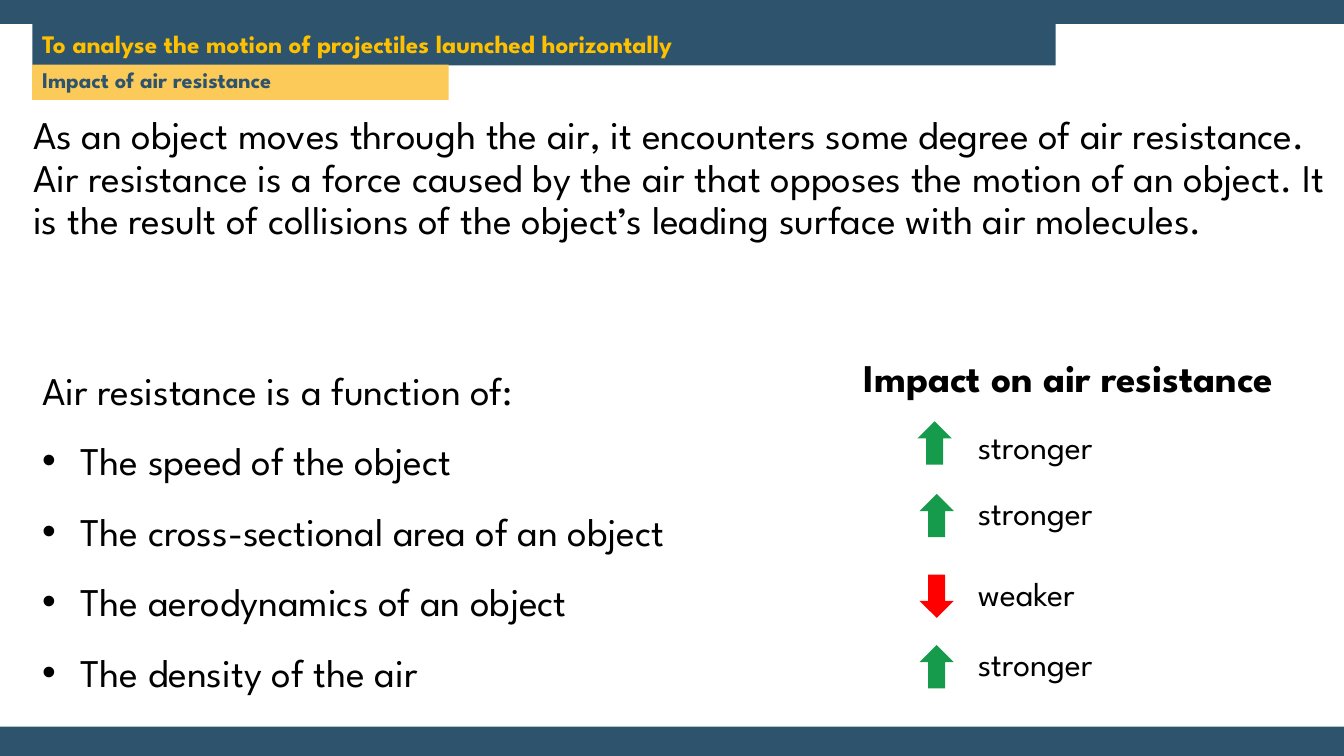
from dataclasses import dataclass

from lxml.etree import SubElement
from pptx import Presentation
from pptx.dml.color import RGBColor
from pptx.enum.shapes import MSO_SHAPE
from pptx.enum.text import MSO_ANCHOR, PP_ALIGN
from pptx.oxml.ns import qn
from pptx.shapes.autoshape import Shape
from pptx.slide import Slide
from pptx.util import Inches, Pt

FONT = "League Spartan"
COLOURS = {
    "navy": "2E546D",
    "white": "FFFFFF",
    "gold": "FFC000",
    "amber": "FBCA58",
    "black": "000000",
    "green": "159B4B",
    "red": "FF0000",
}
FACTORS = [
    "The speed of the object",
    "The cross-sectional area of an object",
    "The aerodynamics of an object",
    "The density of the air",
]


@dataclass
class Box:
    left: float
    top: float
    width: float
    height: float

    def lengths(self) -> list[int]:
        return [Inches(value) for value in (self.left, self.top, self.width, self.height)]


@dataclass
class Style:
    size: int
    colour: str = "black"
    bold: bool = False
    line_spacing: float = 1.0


@dataclass
class Impact:
    label: str
    arrow_left: float
    arrow_top: float
    label_top: float
    colour: str = "green"
    rotation: int = 0


IMPACTS = [
    Impact("stronger", 9.1, 4.18, 4.18),
    Impact("stronger", 9.12, 4.9, 4.83),
    Impact("weaker", 9.12, 5.7, 5.63, "red", 180),
    Impact("stronger", 9.12, 6.4, 6.33),
]


def rgb(name: str) -> RGBColor:
    return RGBColor.from_string(COLOURS[name])


def add_filled(slide: Slide, kind: MSO_SHAPE, box: Box, colour: str) -> Shape:
    shape = slide.shapes.add_shape(kind, *box.lengths())
    shape.shadow.inherit = False
    shape.fill.solid()
    shape.fill.fore_color.rgb = rgb(colour)
    shape.line.fill.background()
    return shape


def write(shape: Shape, text: str, style: Style, anchor: MSO_ANCHOR = MSO_ANCHOR.TOP) -> None:
    frame = shape.text_frame
    frame.text = text
    frame.word_wrap = True
    frame.vertical_anchor = anchor
    for paragraph in frame.paragraphs:
        paragraph.alignment = PP_ALIGN.LEFT
        paragraph.line_spacing = style.line_spacing
        for run in paragraph.runs:
            run.font.name = FONT
            run.font.size = Pt(style.size)
            run.font.bold = style.bold
            run.font.color.rgb = rgb(style.colour)


def add_text(slide: Slide, box: Box, text: str, style: Style) -> Shape:
    shape = slide.shapes.add_textbox(*box.lengths())
    write(shape, text, style)
    return shape


def add_bullets(shape: Shape) -> None:
    for paragraph in shape.text_frame.paragraphs[1:]:
        paragraph.line_spacing = 1.5
        properties = paragraph._p.get_or_add_pPr()
        properties.set("marL", str(Inches(0.38)))
        properties.set("indent", str(Inches(-0.38)))
        SubElement(properties, qn("a:buFont"), typeface="Arial")
        SubElement(properties, qn("a:buChar"), char="•")


def main() -> None:
    presentation = Presentation()
    presentation.slide_width = Inches(13.33)
    presentation.slide_height = Inches(7.5)
    slide = presentation.slides.add_slide(presentation.slide_layouts[6])

    # Navy frame and white page
    add_filled(slide, MSO_SHAPE.RECTANGLE, Box(0, 0, 13.33, 7.5), "navy")
    add_filled(slide, MSO_SHAPE.RECTANGLE, Box(0, 0.24, 13.33, 6.97), "white")

    # Objective and topic banners
    objective = add_filled(slide, MSO_SHAPE.RECTANGLE, Box(0.32, 0.24, 10.15, 0.41), "navy")
    write(objective, "To analyse the motion of projectiles launched horizontally",
          Style(18, "gold", True, 0.9), MSO_ANCHOR.MIDDLE)
    topic = add_filled(slide, MSO_SHAPE.RECTANGLE, Box(0.32, 0.64, 4.13, 0.35), "amber")
    write(topic, "Impact of air resistance", Style(16, "navy", True, 0.9))

    # Explanation
    add_text(slide, Box(0.23, 1.1, 13.1, 0.97),
             "As an object moves through the air, it encounters some degree of air resistance. "
             "Air resistance is a force caused by the air that opposes the motion of an object. "
             "It is the result of collisions of the object’s leading surface with air molecules.",
             Style(28, line_spacing=0.9))

    # Factors
    factors = add_text(slide, Box(0.32, 3.58, 7.91, 3.31),
                       "\n".join(["Air resistance is a function of:", *FACTORS]), Style(28))
    add_bullets(factors)

    # Impact of each factor
    add_text(slide, Box(8.47, 3.46, 4.86, 0.57), "Impact on air resistance", Style(28, bold=True))
    for impact in IMPACTS:
        arrow_box = Box(impact.arrow_left, impact.arrow_top, 0.34, 0.43)
        arrow = add_filled(slide, MSO_SHAPE.UP_ARROW, arrow_box, impact.colour)
        arrow.rotation = impact.rotation
        add_text(slide, Box(9.6, impact.label_top, 3.15, 0.57), impact.label, Style(24))

    presentation.save("out.pptx")


if __name__ == "__main__":
    main()
